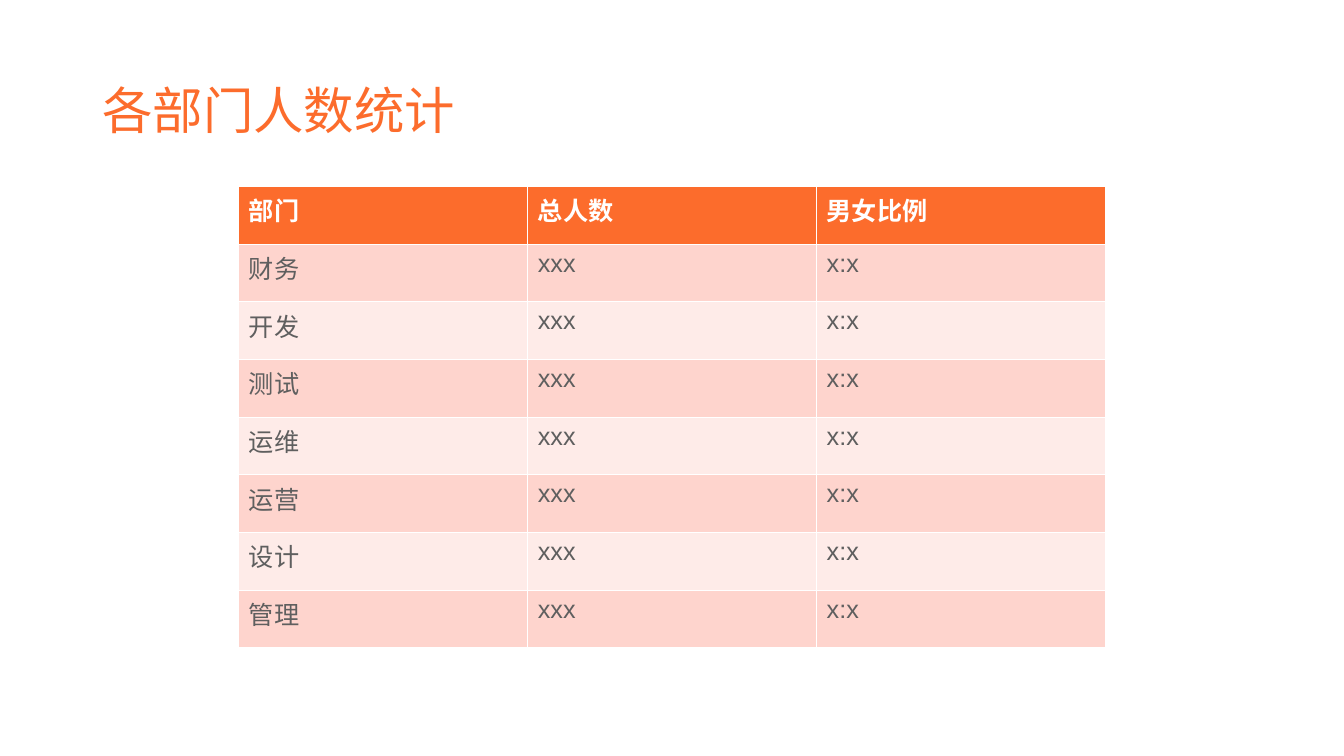
from pptx import Presentation
from pptx.dml.color import RGBColor
from pptx.enum import text
from pptx.util import Cm, Pt

TITLE = "各部门人数统计"
HEAD = ("部门", "总人数", "男女比例")
DEPTS = ("财务", "开发", "测试", "运维", "运营", "设计", "管理")
ROWS = [HEAD] + [(dept, "xxx", "x:x") for dept in DEPTS]

ORANGE, WHITE, GREY = "FC6C2C", "FFFFFF", "5F5F5F"
BANDS = ("FEEBE8", "FED4CD")


def style(para, size, color, bold=False):
    font = para.font
    font.name, font.size, font.bold = "Arial", Pt(size), bold
    font.color.rgb = RGBColor.from_string(color)


def add_title(slide):
    box = slide.shapes.add_textbox(Cm(2.33), Cm(1.02), Cm(29.21), Cm(3.68))
    frame = box.text_frame
    frame.word_wrap = True
    frame.vertical_anchor = text.MSO_ANCHOR.MIDDLE
    frame.text = TITLE
    para = frame.paragraphs[0]
    para.line_spacing = 0.9
    style(para, 36, ORANGE)


def add_staff(slide):
    """Add the headcount table; its default style draws the white borders."""
    table = slide.shapes.add_table(
        len(ROWS), len(HEAD), Cm(6.02), Cm(4.7), Cm(21.84), Cm(11.63)).table
    for r, row in enumerate(ROWS):
        head = r == 0
        for c, word in enumerate(row):
            cell = table.cell(r, c)
            cell.text = word
            cell.fill.solid()
            fill = ORANGE if head else BANDS[r % 2]
            cell.fill.fore_color.rgb = RGBColor.from_string(fill)
            style(cell.text_frame.paragraphs[0], 18,
                  WHITE if head else GREY, head)


def main():
    deck = Presentation()
    deck.slide_width, deck.slide_height = Cm(33.87), Cm(19.05)
    slide = deck.slides.add_slide(deck.slide_layouts[6])
    add_staff(slide)
    add_title(slide)
    deck.save("out.pptx")


if __name__ == "__main__":
    main()
